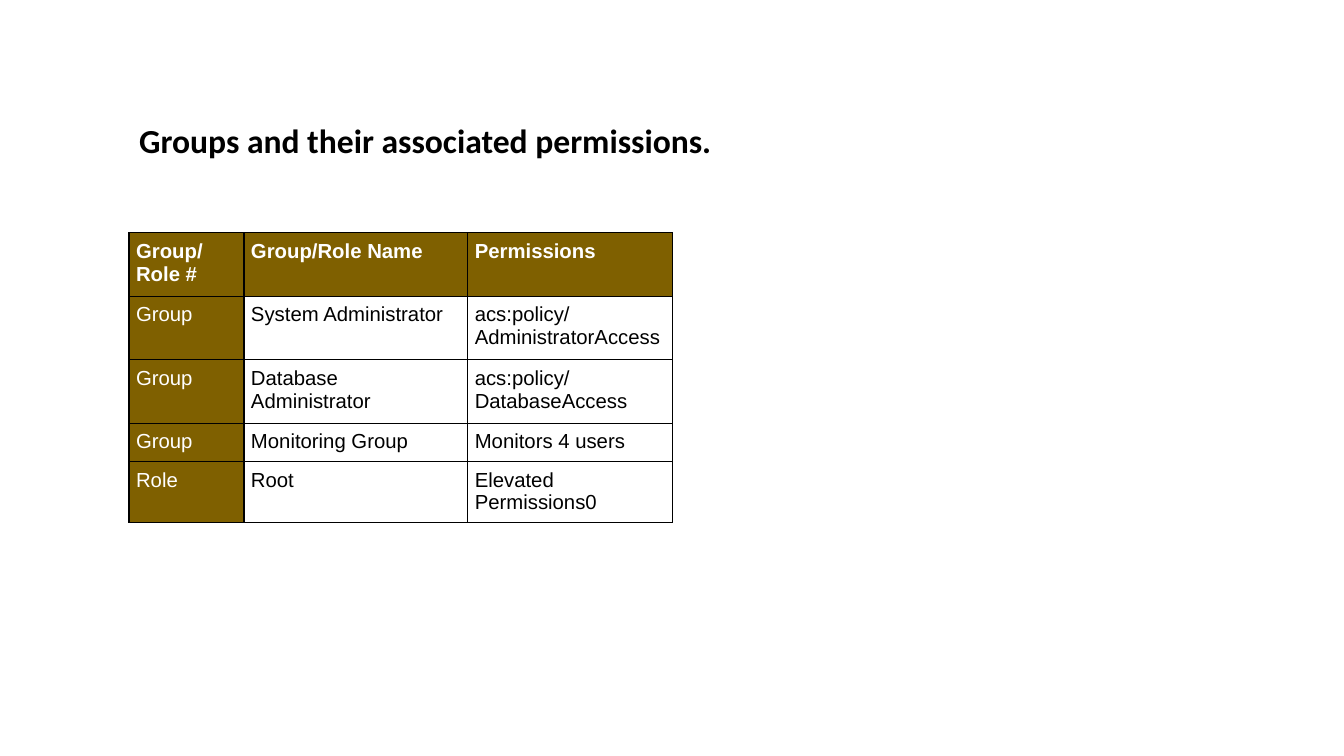
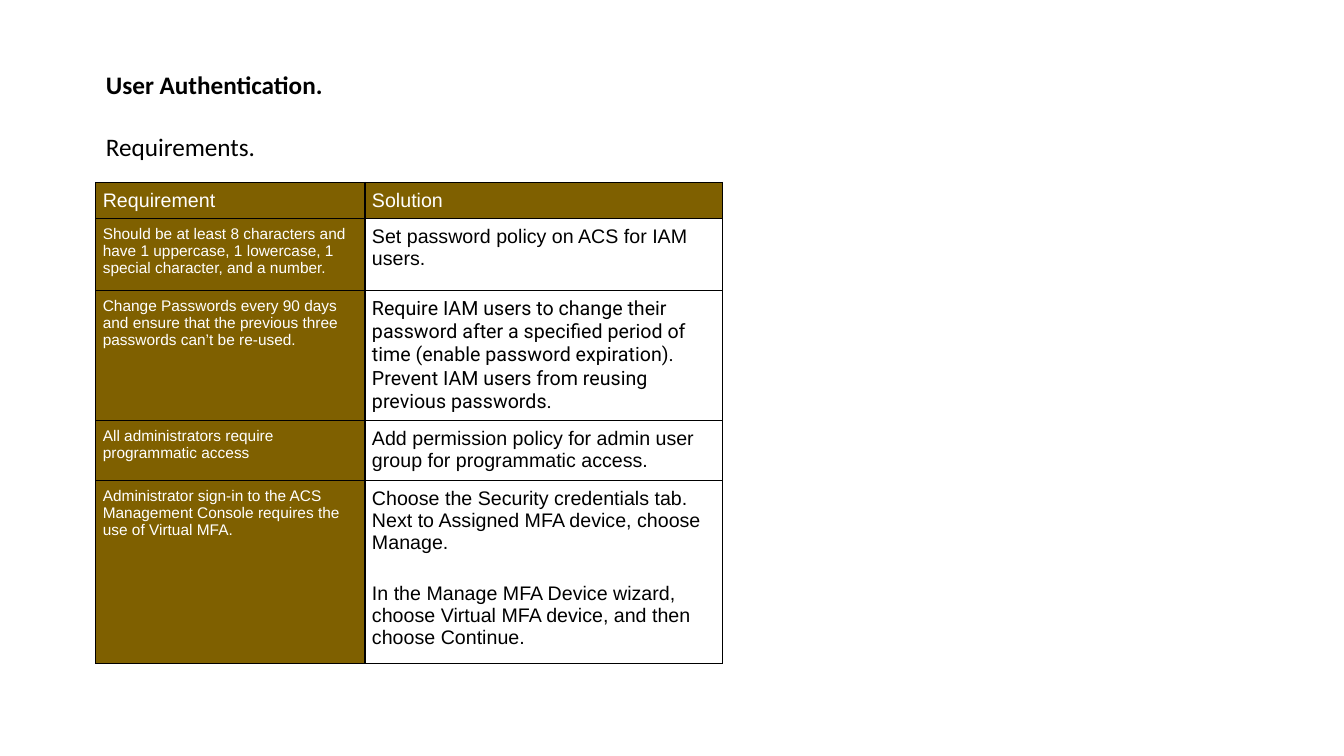
from lxml.etree import SubElement
from pptx import Presentation
from pptx.dml.color import RGBColor
from pptx.enum.text import MSO_ANCHOR, MSO_AUTO_SIZE, PP_ALIGN
from pptx.oxml.ns import qn
from pptx.util import Inches, Pt

# Shared style
BROWN, WHITE, BLACK = "7F6000", "FFFFFF", "000000"
TITLE_FONT, TABLE_FONT = "Calibri", "Arial"
CELL_INSET = 0.07
BORDER_WIDTH = Pt(1)

# Content: a cell is a list of paragraphs; key_size is for the first column below the header
SLIDES = [
    dict(
        title=["Groups and their associated permissions."],
        title_box=(1.28, 1.14, 6.67, 0.5), title_size=24,
        table_at=(1.28, 2.31),
        cols=[1.14, 2.22, 2.03], rows=[0.63, 0.63, 0.63, 0.38, 0.6],
        size=14.5, key_size=14.5, header_bold=True,
        cells=[
            [["Group/Role #"], ["Group/Role Name"], ["Permissions"]],
            [["Group"], ["System Administrator"], ["acs:policy/AdministratorAccess"]],
            [["Group"], ["Database Administrator"], ["acs:policy/DatabaseAccess"]],
            [["Group"], ["Monitoring Group"], ["Monitors 4 users"]],
            [["Role"], ["Root"], ["Elevated Permissions0"]],
        ],
        cell_fonts={},
    ),
    dict(
        title=["User Authentication.", "Requirements."],
        title_box=(0.95, 0.64, 2.45, 1.01), title_size=18,
        table_at=(0.95, 1.81),
        cols=[2.67, 3.55], rows=[0.36, 0.71, 1.29, 0.6, 1.81],
        size=14, key_size=11, header_bold=False,
        cells=[
            [["Requirement"], ["Solution"]],
            [["Should be at least 8 characters and have 1 uppercase, 1 lowercase, "
              "1 special character, and a number."],
             ["Set password policy on ACS for IAM users."]],
            [["Change Passwords every 90 days and ensure that the previous three "
              "passwords can’t be re-used."],
             ["Require IAM users to change their password after a specified period of time "
              "(enable password expiration). Prevent IAM users from reusing previous passwords."]],
            [["All administrators require programmatic access"],
             ["Add permission policy for admin user group for programmatic access."]],
            [["Administrator sign-in to the ACS Management Console requires the use of "
              "Virtual MFA."],
             ["Choose the Security credentials tab. Next to Assigned MFA device, choose Manage.",
              "In the Manage MFA Device wizard, choose Virtual MFA device, and then choose "
              "Continue."]],
        ],
        cell_fonts={(2, 1): "Roboto"},
    ),
]


def rgb(color):
    return RGBColor.from_string(color)


def write(tf, lines, font, size, color, bold, gap):
    """Fill a text frame, one paragraph per line; only the first may be bold."""
    for i, line in enumerate(lines):
        p = tf.paragraphs[0] if i == 0 else tf.add_paragraph()
        p.text = line
        p.alignment = PP_ALIGN.LEFT
        p.space_before = Pt(gap if i else 0)
        p.font.name, p.font.size = font, Pt(size)
        p.font.bold = bold and i == 0
        p.font.color.rgb = rgb(color)


def add_borders(cell):
    tc_pr = cell._tc.get_or_add_tcPr()
    for i, side in enumerate(("lnL", "lnR", "lnT", "lnB")):
        ln = tc_pr.makeelement(qn(f"a:{side}"), {"w": str(BORDER_WIDTH)})
        fill = SubElement(ln, qn("a:solidFill"))
        SubElement(fill, qn("a:srgbClr"), val=BLACK)
        tc_pr.insert(i, ln)  # borders come before the fill


def add_title(s, data):
    title = s.shapes.title
    title.left, title.top, title.width, title.height = map(Inches, data["title_box"])
    tf = title.text_frame
    tf.word_wrap = True
    tf.auto_size = MSO_AUTO_SIZE.NONE
    tf.vertical_anchor = MSO_ANCHOR.MIDDLE
    write(tf, data["title"], TITLE_FONT, data["title_size"], BLACK, True, gap=22)


def add_grid(s, data):
    cols, rows = data["cols"], data["rows"]
    left, top = data["table_at"]
    table = s.shapes.add_table(len(rows), len(cols), Inches(left), Inches(top),
                               Inches(sum(cols)), Inches(sum(rows))).table
    table.first_row = table.horz_banding = False
    for column, width in zip(table.columns, cols):
        column.width = Inches(width)
    for row, height in zip(table.rows, rows):
        row.height = Inches(height)

    for r, row in enumerate(data["cells"]):
        for c, lines in enumerate(row):
            cell = table.cell(r, c)
            cell.margin_left = cell.margin_right = Inches(CELL_INSET)
            cell.margin_top = cell.margin_bottom = Inches(CELL_INSET)
            dark = r == 0 or c == 0
            if dark:
                cell.fill.solid()
                cell.fill.fore_color.rgb = rgb(BROWN)
            else:
                cell.fill.background()
            add_borders(cell)
            write(cell.text_frame, lines,
                  font=data["cell_fonts"].get((r, c), TABLE_FONT),
                  size=data["key_size"] if r and c == 0 else data["size"],
                  color=WHITE if dark else BLACK,
                  bold=data["header_bold"] and r == 0, gap=20.5)


def main():
    prs = Presentation()
    prs.slide_width, prs.slide_height = Inches(13.33), Inches(7.5)
    title_only = prs.slide_layouts[5]
    for data in SLIDES:
        s = prs.slides.add_slide(title_only)
        add_grid(s, data)
        add_title(s, data)
    prs.save("out.pptx")


if __name__ == "__main__":
    main()
